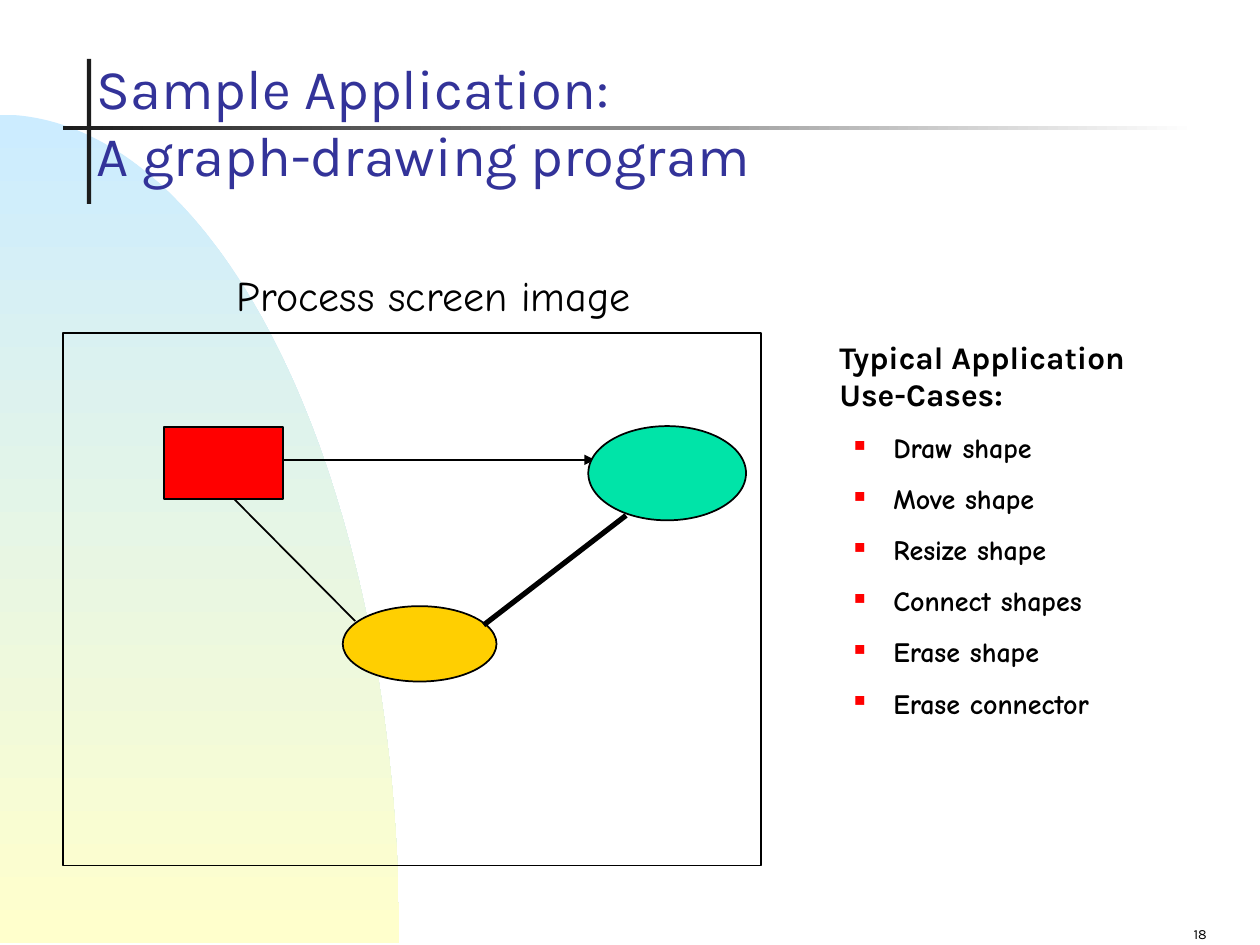
from math import cos, pi, sin

from lxml.etree import SubElement
from pptx import Presentation
from pptx.dml.color import RGBColor
from pptx.enum.shapes import MSO_CONNECTOR, MSO_SHAPE
from pptx.enum.text import MSO_ANCHOR, PP_ALIGN
from pptx.oxml.ns import qn
from pptx.util import Cm, Pt

BLACK = RGBColor(0x00, 0x00, 0x00)
WHITE = RGBColor(0xFF, 0xFF, 0xFF)
CHARCOAL = RGBColor(0x1C, 0x1C, 0x1C)
INDIGO = RGBColor(0x33, 0x33, 0x99)
SKY = RGBColor(0xCC, 0xEC, 0xFF)
CREAM = RGBColor(0xFF, 0xFF, 0xCC)
RED = RGBColor(0xFF, 0x00, 0x00)
GOLD = RGBColor(0xFF, 0xCF, 0x01)
GREEN = RGBColor(0x00, 0xE4, 0xA8)

USE_CASES = ["Draw shape", "Move shape", "Resize shape",
             "Connect shapes", "Erase shape", "Erase connector"]


def apply(target, values):
    for name, value in values.items():
        setattr(target, name, value)


class SlideBuilder:
    heading_font = "Karla"
    body_font = "Comic Neue"

    def __init__(self, slide):
        self.slide = slide

    def paint(self, shape, fill=None, outline=None, angle=0):
        shape.shadow.inherit = False
        if fill is None:
            shape.fill.background()
        elif isinstance(fill, list):
            shape.fill.gradient()
            shape.fill.gradient_angle = angle
            for stop, color in zip(shape.fill.gradient_stops, fill):
                stop.color.rgb = color
        else:
            shape.fill.solid()
            shape.fill.fore_color.rgb = fill
        if outline is None:
            shape.line.fill.background()
        else:
            shape.line.color.rgb = outline
            shape.line.width = Pt(1)

    def shape(self, kind, box, **style):
        shape = self.slide.shapes.add_shape(kind, *map(Cm, box))
        self.paint(shape, **style)

    def quarter_ellipse(self, box, steps=90, **style):
        left, top, width, height = box
        bottom = top + height
        angles = [pi / 2 * step / steps for step in range(1, steps + 1)]
        points = [(Cm(left + width * sin(angle)), Cm(bottom - height * cos(angle)))
                  for angle in angles]
        builder = self.slide.shapes.build_freeform(Cm(left), Cm(top))
        builder.add_line_segments(points + [(Cm(left), Cm(bottom))], close=True)
        self.paint(builder.convert_to_shape(), **style)

    def connector(self, start, end, width=1, arrow=False):
        connector = self.slide.shapes.add_connector(
            MSO_CONNECTOR.STRAIGHT, *map(Cm, start + end))
        connector.line.width = Pt(width)
        connector.line.color.rgb = BLACK
        if arrow:
            SubElement(connector.line._get_or_add_ln(), qn("a:tailEnd"), type="triangle")
        SubElement(connector._element.spPr, qn("a:effectLst"))

    def text_box(self, box, **frame_format):
        frame = self.slide.shapes.add_textbox(*map(Cm, box)).text_frame
        apply(frame, {"word_wrap": True} | frame_format)
        return frame

    def fill_paragraph(self, paragraph, text, font, color=BLACK, **paragraph_format):
        paragraph.text = text
        apply(paragraph, paragraph_format)
        for run in paragraph.runs:
            apply(run.font, font)
            run.font.color.rgb = color

    def indent(self, paragraph, margin, first_line=0):
        properties = paragraph._p.get_or_add_pPr()
        properties.set("marL", str(Cm(margin)))
        properties.set("indent", str(Cm(first_line)))
        return properties

    def bullet(self, paragraph):
        properties = self.indent(paragraph, 2.06, -0.79)
        color = SubElement(properties, qn("a:buClr"))
        SubElement(color, qn("a:srgbClr"), val=str(RED))
        SubElement(properties, qn("a:buSzPct"), val="55000")
        SubElement(properties, qn("a:buChar"), char="■")

    def use_case_list(self, box, heading, items):
        frame = self.text_box(box)
        paragraph = frame.paragraphs[0]
        self.indent(paragraph, 0.97)
        self.fill_paragraph(paragraph, heading,
                            {"name": self.heading_font, "size": Pt(18), "bold": True})
        for item in items:
            paragraph = frame.add_paragraph()
            self.bullet(paragraph)
            self.fill_paragraph(paragraph, item,
                                {"name": self.body_font, "size": Pt(16), "bold": True},
                                space_before=Pt(10))


def main():
    presentation = Presentation()
    apply(presentation, {"slide_width": Cm(25.4), "slide_height": Cm(19.05)})
    builder = SlideBuilder(presentation.slides.add_slide(presentation.slide_layouts[6]))

    builder.quarter_ellipse((0, 2.31, 8.05, 16.71), fill=[SKY, CREAM], angle=270)
    builder.shape(MSO_SHAPE.RECTANGLE, (1.75, 1.19, 0.09, 2.92), fill=CHARCOAL)
    builder.shape(MSO_SHAPE.RECTANGLE, (1.27, 2.54, 22.86, 0.08), fill=[CHARCOAL, WHITE])

    title = builder.text_box((1.7, 2.01, 17.98, 1.9), vertical_anchor=MSO_ANCHOR.BOTTOM)
    builder.fill_paragraph(title.paragraphs[0], "Sample Application:\vA graph-drawing program",
                           {"name": builder.heading_font, "size": Pt(32)}, INDIGO)

    builder.shape(MSO_SHAPE.RECTANGLE, (1.27, 6.71, 14.07, 10.74), outline=BLACK)
    builder.shape(MSO_SHAPE.RECTANGLE, (3.3, 8.61, 2.41, 1.45), fill=RED, outline=BLACK)
    builder.shape(MSO_SHAPE.OVAL, (6.91, 12.22, 3.1, 1.52), fill=GOLD, outline=BLACK)
    builder.connector((4.72, 10.06), (7.16, 12.52))
    builder.connector((12.62, 10.39), (9.75, 12.6), width=3)
    builder.connector((5.72, 9.27), (11.99, 9.27), arrow=True)
    builder.shape(MSO_SHAPE.OVAL, (11.86, 8.59, 3.18, 1.9), fill=GREEN, outline=BLACK)

    label = builder.text_box((4.52, 5.31, 8.48, 1.27), word_wrap=False)
    builder.fill_paragraph(label.paragraphs[0], "Process screen image",
                           {"name": builder.body_font, "size": Pt(24)})

    builder.use_case_list((15.7, 6.68, 8.31, 11.43),
                          "Typical Application \vUse-Cases:", USE_CASES)

    number = builder.text_box((19.3, 18.29, 5.28, 0.84), vertical_anchor=MSO_ANCHOR.BOTTOM)
    builder.fill_paragraph(number.paragraphs[0], "18",
                           {"name": builder.heading_font, "size": Pt(8)},
                           alignment=PP_ALIGN.RIGHT)

    presentation.save("out.pptx")


if __name__ == "__main__":
    main()
